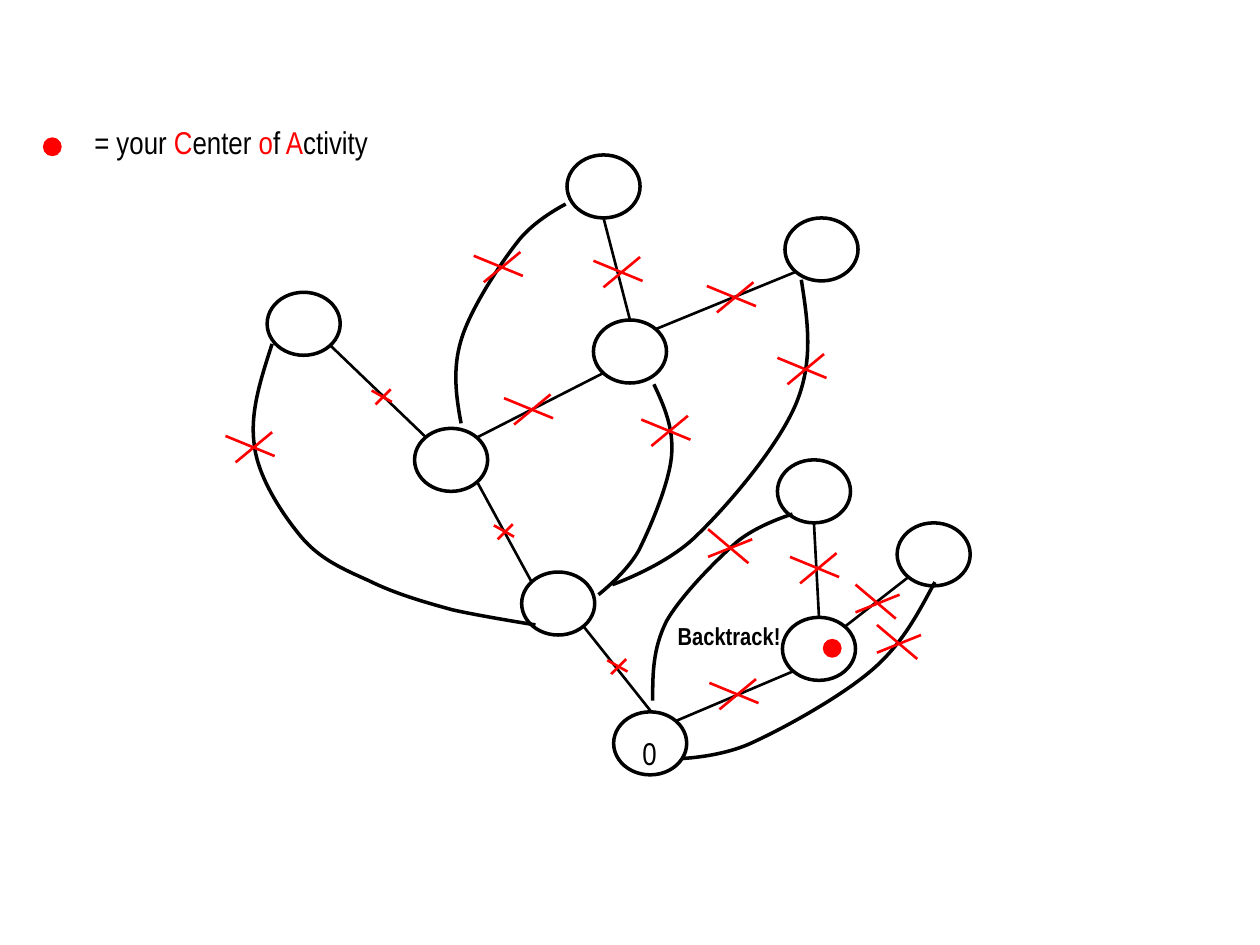
from lxml.etree import SubElement
from pptx import Presentation
from pptx.dml.color import RGBColor
from pptx.enum.shapes import MSO_CONNECTOR as Connector, MSO_SHAPE as Shape
from pptx.oxml.ns import qn
from pptx.util import Inches, Pt

BLACK, RED = RGBColor(0, 0, 0), RGBColor(255, 0, 0)
THEME = {"font": "Arial Narrow", "body": 18, "callout": 14,
         "node_line": 2, "edge_line": 1.5}

NODE_SIZE = (0.58, 0.5)
DOT_SIZE = 0.15

# Left and top of each node
nodes = [(4.87, 5.65), (4.14, 4.54), (3.29, 3.4), (2.12, 2.32), (4.71, 2.54),
         (6.23, 1.73), (4.5, 1.23), (6.21, 4.9), (7.12, 4.15), (6.17, 3.65)]

# Start and end of each straight edge
tree_edges = [
    (2.62, 2.74, 3.38, 3.47), (3.79, 3.83, 4.22, 4.62), (4.63, 4.97, 5.17, 5.65),
    (3.79, 3.47, 4.79, 2.96), (4.79, 1.73, 5, 2.54), (5.21, 2.61, 6.31, 2.16),
    (5.37, 5.72, 6.29, 5.33), (6.5, 4.9, 6.46, 4.15), (6.71, 4.97, 7.21, 4.58),
]

# Start point, then three Bezier points per segment
back_edges = [
    [(2.16, 2.73), (2.07, 3.01), (1.98, 3.28), (2.02, 3.54),
     (2.05, 3.79), (2.24, 4.08), (2.39, 4.26), (2.54, 4.44), (2.73, 4.52), (2.93, 4.61),
     (3.13, 4.71), (3.37, 4.78), (3.59, 4.84), (3.81, 4.89), (4.25, 4.96), (4.25, 4.96)],
    [(5.19, 3.05), (5.27, 3.22), (5.35, 3.4), (5.33, 3.62),
     (5.31, 3.84), (5.16, 4.19), (5.07, 4.37), (4.97, 4.55), (4.75, 4.72), (4.75, 4.72)],
    [(3.66, 3.36), (3.62, 3.15), (3.59, 2.93), (3.66, 2.7),
     (3.73, 2.46), (3.96, 2.11), (4.1, 1.93), (4.23, 1.75), (4.49, 1.62), (4.49, 1.62)],
    [(6.36, 2.22), (6.41, 2.54), (6.46, 2.86), (6.32, 3.2),
     (6.18, 3.54), (5.78, 4.01), (5.53, 4.25), (5.29, 4.49), (4.86, 4.64), (4.86, 4.64)],
    [(7.42, 4.62), (7.29, 4.86), (7.17, 5.1), (6.93, 5.31),
     (6.69, 5.52), (6.24, 5.77), (5.98, 5.89), (5.73, 6.01), (5.41, 6.02), (5.41, 6.02)],
    [(5.18, 5.56), (5.18, 5.35), (5.18, 5.15), (5.29, 4.93),
     (5.41, 4.72), (5.69, 4.44), (5.85, 4.3), (6.02, 4.16), (6.29, 4.08), (6.29, 4.08)],
]

# Two strokes of each kind of cross, and the left and top of every cross
cross_strokes = {
    "small": [(0, 0.01, 0.16, 0.1), (0.15, 0, 0.03, 0.12)],
    "large": [(0, 0.03, 0.39, 0.19), (0.37, 0, 0.08, 0.24)],
    "turned": [(0, 0, 0.32, 0.27), (0.35, 0.08, 0, 0.22)],
}
crosses = {
    "small": [(4.82, 5.23), (3.92, 4.16), (2.95, 3.09)],
    "large": [(1.79, 3.43), (4, 3.13), (4.71, 2.04), (3.76, 2), (5.61, 2.24),
              (6.17, 2.81), (5.09, 3.3), (5.63, 5.39), (6.27, 4.39)],
    "turned": [(5.62, 4.2), (6.96, 4.96), (6.79, 4.64)],
}

legend = [("= your ", BLACK), ("C", RED), ("enter", BLACK), (" o", RED),
          ("f", BLACK), (" A", RED), ("ctivity", BLACK)]


def add_circle(shapes, left, top, width, height, fill=None):
    circle = shapes.add_shape(Shape.OVAL, *map(Inches, (left, top, width, height)))
    circle.shadow.inherit = False
    if fill is None:
        circle.fill.background()
        circle.line.color.rgb = BLACK
        circle.line.width = Pt(THEME["node_line"])
    else:
        circle.fill.solid()
        circle.fill.fore_color.rgb = fill
        circle.line.fill.background()


def add_line(shapes, ends, color):
    line = shapes.add_connector(Connector.STRAIGHT, *map(Inches, ends))
    line.line.color.rgb = color
    line.line.width = Pt(THEME["edge_line"])
    SubElement(line._element.spPr, qn("a:effectLst"))


def add_curve(shapes, points):
    start, *rest = [(Inches(x), Inches(y)) for x, y in points]
    builder = shapes.build_freeform(*start)
    builder.add_line_segments(rest, close=False)
    curve = builder.convert_to_shape()
    curve.shadow.inherit = False
    curve.fill.background()
    curve.line.color.rgb = BLACK
    curve.line.width = Pt(THEME["node_line"])
    # Turn every three line points into one cubic segment
    outline = next(curve._element.iter(qn("a:path")))
    steps = outline.findall(qn("a:lnTo"))
    for first in range(0, len(steps), 3):
        cubic = SubElement(outline, qn("a:cubicBezTo"))
        for step in steps[first:first + 3]:
            cubic.append(step[0])
            outline.remove(step)


def add_text(shapes, box, pieces, size, bold=False):
    label = shapes.add_textbox(*map(Inches, box))
    label.text_frame.word_wrap = True
    for words, color in pieces:
        run = label.text_frame.paragraphs[0].add_run()
        run.text = words
        run.font.name = THEME["font"]
        run.font.size = Pt(size)
        run.font.bold = bold
        run.font.color.rgb = color


def main():
    deck = Presentation()
    deck.slide_width, deck.slide_height = Inches(10), Inches(7.5)
    shapes = deck.slides.add_slide(deck.slide_layouts[6]).shapes

    # Graph
    for node in nodes:
        add_circle(shapes, *node, *NODE_SIZE)
    for edge in tree_edges:
        add_line(shapes, edge, BLACK)
    for edge in back_edges:
        add_curve(shapes, edge)
    add_text(shapes, (5, 5.78, 0.25, 0.4), [("0", BLACK)], THEME["body"])

    # Crossed-out edges
    for kind, corners in crosses.items():
        for left, top in corners:
            cross = shapes.add_group_shape().shapes
            for x1, y1, x2, y2 in cross_strokes[kind]:
                add_line(cross, (left + x1, top + y1, left + x2, top + y2), RED)

    # Current position
    add_circle(shapes, 6.53, 5.07, DOT_SIZE, DOT_SIZE, RED)
    add_text(shapes, (5.28, 4.88, 1.06, 0.34), [("Backtrack!", BLACK)],
             THEME["callout"], bold=True)

    # Legend
    key = shapes.add_group_shape().shapes
    add_circle(key, 0.34, 1.09, DOT_SIZE, DOT_SIZE, RED)
    add_text(key, (0.65, 0.93, 3.1, 0.4), legend, THEME["body"])

    deck.save("out.pptx")


if __name__ == "__main__":
    main()
